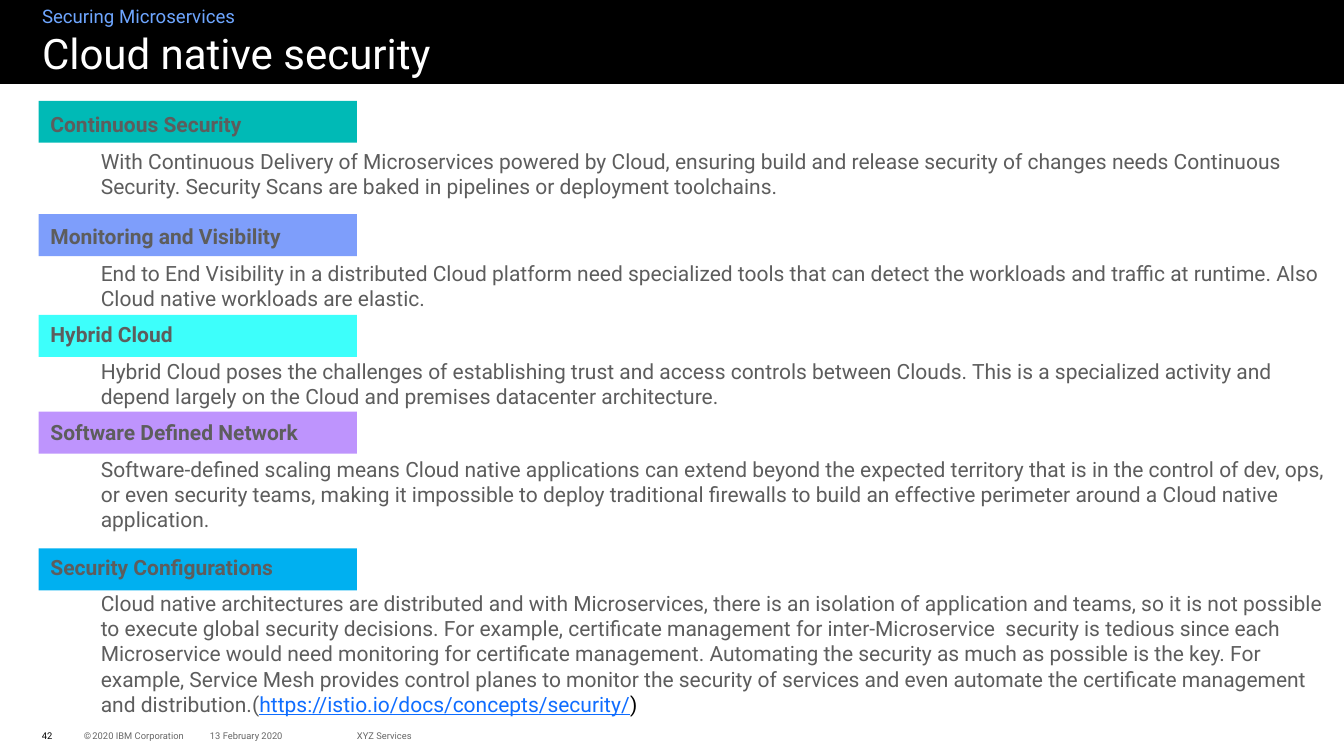
from lxml import etree
from pptx import Presentation
from pptx.dml.color import RGBColor
from pptx.enum.shapes import MSO_SHAPE
from pptx.enum.text import MSO_ANCHOR, MSO_AUTO_SIZE, PP_ALIGN
from pptx.oxml.ns import qn
from pptx.util import Inches, Pt

RECTANGLE = MSO_SHAPE.RECTANGLE
TOP, MIDDLE = MSO_ANCHOR.TOP, MSO_ANCHOR.MIDDLE
LEFT, NO_FIT = PP_ALIGN.LEFT, MSO_AUTO_SIZE.NONE

FONT = "Roboto"
COLORS = {
    "black": "000000", "white": "FFFFFF", "eyebrow": "6EA6FF",
    "text": "5D5D5D", "footer": "666666", "link": "0F6DFF",
    "teal": "00BAB6", "periwinkle": "7E9EFB", "cyan": "3DFFFB",
    "purple": "BE94FD", "blue": "00B0F0",
}
WIDTH, HEIGHT = 16, 9
MARGIN = 0.5
BAR_LEFT, BAR_WIDTH, BAR_HEIGHT = 0.46, 3.79, 0.5
BODY_INDENT = 0.6
GAP = 9.6  # points between a heading and its text

# Heading, bar colour, bar top, space above the heading, text runs
TOPICS = [
    ("Continuous Security", "teal", 1.2, 0, [
        ("With Continuous Delivery of Microservices powered by Cloud, ensuring build and "
         "release security of changes needs Continuous Security. Security Scans are baked "
         "in pipelines or deployment toolchains.", {})]),
    ("Monitoring and Visibility", "periwinkle", 2.55, 21.6, [
        ("End to End Visibility in a distributed Cloud platform need specialized tools that "
         "can detect the workloads and traffic at runtime. Also Cloud native workloads are "
         "elastic.", {})]),
    ("Hybrid Cloud", "cyan", 3.75, GAP, [
        ("Hybrid Cloud poses the challenges of establishing trust and access controls between "
         "Clouds. This is a specialized activity and depend largely on the Cloud and premises "
         "datacenter architecture.", {})]),
    ("Software Defined Network", "purple", 4.9, GAP, [
        ("Software-defined scaling means Cloud native applications can extend beyond the "
         "expected territory that is in the control of dev, ops, or even security teams, "
         "making it impossible to deploy traditional firewalls to build an effective "
         "perimeter around a Cloud native application.", {})]),
    ("Security Configurations", "blue", 6.53, 2 * GAP, [
        ("Cloud native architectures are distributed and with Microservices, there is an "
         "isolation of application and teams, so it is not possible to execute global "
         "security decisions. For example, certificate management for inter-Microservice  "
         "security is tedious since each Microservice would need monitoring for certificate "
         "management. Automating the security as much as possible is the key. For example, "
         "Service Mesh provides control planes to monitor the security of services and even "
         "automate the certificate management and distribution.(", {}),
        ("https://istio.io/docs/concepts/security/", {"color": "link", "underline": True}),
        (")", {"color": "black"})]),
]

# Left, width, colour, runs
FOOTER = [
    (MARGIN, 0.36, "black", [("42", {})]),
    (1, 1.4, "footer", [("©", {}), (" ", {"size": 4}), ("2020 IBM Corporation", {})]),
    (2.5, 1.5, "footer", [("13 February 2020", {})]),
    (4.25, 2.5, "footer", [("XYZ Services", {})]),
]


def place(shape, box):
    shape.left, shape.top, shape.width, shape.height = map(Inches, box)


def prepare(shape, inset=(0, 0), anchor=TOP):
    frame = shape.text_frame
    frame.word_wrap = True
    frame.auto_size = NO_FIT
    frame.vertical_anchor = anchor
    frame.margin_left = frame.margin_right = Inches(inset[0])
    frame.margin_top = frame.margin_bottom = Inches(inset[1])
    return frame


def write(paragraph, runs, size=18, color="text", bold=False, spacing=1.0,
          before=0, level=0, indent=0):
    """Fill a paragraph with (text, format) runs."""
    paragraph.level = level
    properties = paragraph._p.get_or_add_pPr()
    properties.set("marL", str(Inches(indent)))
    properties.set("indent", "0")
    etree.SubElement(properties, qn("a:buNone"))
    paragraph.alignment = LEFT
    paragraph.line_spacing = spacing
    paragraph.space_before = Pt(before)
    paragraph.space_after = Pt(0)
    for text, extra in runs:
        run = paragraph.add_run()
        run.text = text
        font = run.font
        font.name = FONT
        font.size = Pt(extra.get("size", size))
        font.bold = bold
        font.underline = extra.get("underline", False)
        font.color.rgb = RGBColor.from_string(COLORS[extra.get("color", color)])


def add_band(slide, box, color):
    """Add a plain rectangle behind all text."""
    band = slide.shapes.add_shape(RECTANGLE, *map(Inches, box))
    band.shadow.inherit = False
    band.fill.solid()
    band.fill.fore_color.rgb = RGBColor.from_string(COLORS[color])
    band.line.fill.background()
    slide.shapes._spTree.insert(2, band._element)


def build_header(slide, eyebrow, box):
    left, top, width, height = box
    add_band(slide, box, "black")
    place(eyebrow, (left + MARGIN, top + 0.05 * height, 0.45 * width, 0.3 * height))
    write(prepare(eyebrow).paragraphs[0], [("Securing Microservices", {})],
          size=16, color="eyebrow", spacing=1.05)
    title = slide.shapes.title
    place(title, (left + MARGIN, top + 0.4 * height, width - 2 * MARGIN, 0.5 * height))
    write(prepare(title).paragraphs[0], [("Cloud native security", {})],
          size=36, color="white", spacing=0.9)


def build_topics(slide, topics, box):
    place(topics, box)
    frame = prepare(topics, inset=(0.1, 0.05))
    for number, (heading, color, bar_top, before, runs) in enumerate(TOPICS):
        add_band(slide, (BAR_LEFT, bar_top, BAR_WIDTH, BAR_HEIGHT), color)
        paragraph = frame.add_paragraph() if number else frame.paragraphs[0]
        write(paragraph, [(heading, {})], bold=True, before=before)
        write(frame.add_paragraph(), runs, before=GAP, level=1, indent=BODY_INDENT)


def build_footer(slide, top, height):
    for left, width, color, runs in FOOTER:
        note = slide.shapes.add_textbox(*map(Inches, (left, top, width, height)))
        write(prepare(note, anchor=MIDDLE).paragraphs[0], runs, size=8, color=color)


def main():
    deck = Presentation()
    deck.slide_width, deck.slide_height = Inches(WIDTH), Inches(HEIGHT)
    slide = deck.slides.add_slide(deck.slide_layouts[3])
    eyebrow, topics = slide.placeholders[1], slide.placeholders[2]
    build_header(slide, eyebrow, (0, 0, WIDTH, 1))
    build_topics(slide, topics, (MARGIN, 1.28, 15.4, 7.47))
    build_footer(slide, 8.64, 0.24)
    deck.save("out.pptx")


if __name__ == "__main__":
    main()
